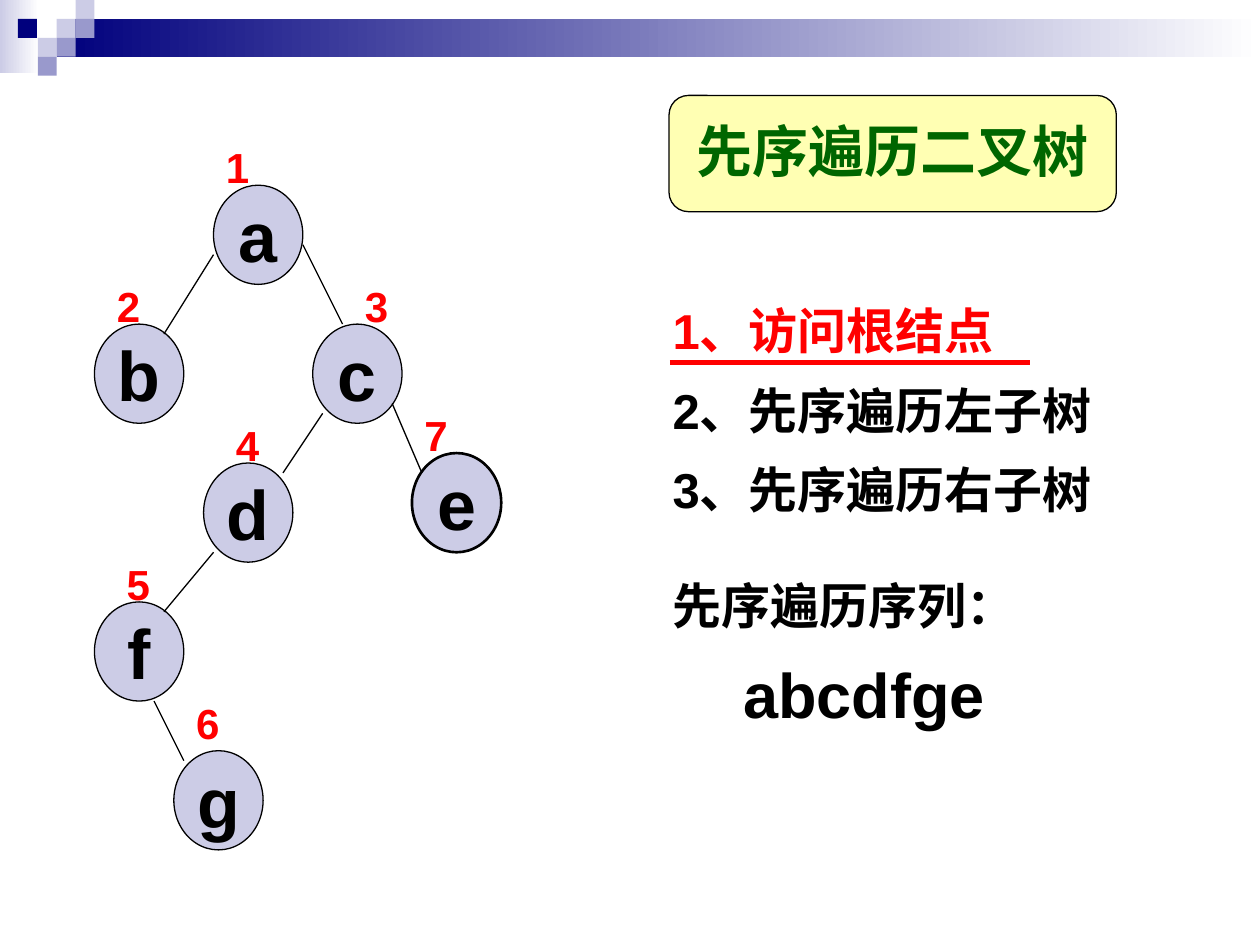
from pptx import Presentation
from pptx.dml.color import RGBColor as RGB
from pptx.enum.shapes import MSO_CONNECTOR as CONN, MSO_SHAPE as SHAPE
from pptx.enum.text import MSO_ANCHOR as ANCHOR, PP_ALIGN as ALIGN
from pptx.oxml.ns import qn
from pptx.util import Inches, Pt
from lxml.etree import SubElement

COLORS = {
    "navy": "00007D", "violet": "9999CC", "lilac": "CCCCE6", "white": "FFFFFF",
    "black": "000000", "red": "FF0000", "yellow": "FFFF99", "green": "006600",
}
LATIN, CJK = "Arial", "Noto Sans CJK SC"
W, H = Inches(10), Inches(7.5)
UNIT = W / 127
CELL = W * 0.015

SQUARES = [(3, 1, "lilac"), (4, 0, "lilac"), (4, 1, "violet"), (2, 2, "lilac"),
           (0.95, 1, "navy"), (3, 2, "violet"), (2, 3, "violet")]
NODE_W, NODE_H = 9, 10
NODES = [("a", 12, 0, 0.75), ("b", 0, 14, 0.75), ("c", 22, 14, 0.75),
         ("d", 11, 28, 0.75), ("f", 0, 42, 0.75), ("g", 8, 57, 0.75),
         ("e", 32, 27, 1.5)]
EDGES = [(12, 7, 7, 15), (21, 6, 25, 14), (30, 22, 33, 29),
         (6, 52, 9, 58), (23, 23, 19, 29), (12, 37, 7, 43)]
VISITS = [(12, -5), (1, 9), (26, 9), (13, 23), (2, 37), (9, 51), (32, 22)]
STEPS = [("1、访问根结点", "red", 28, 34, 0, 0),
         ("2、先序遍历左子树", "black", 28, 34, 11.5, 0),
         ("3、先序遍历右子树", "black", 28, 34, 11.5, 0),
         ("先序遍历序列：", "black", 28, 34, 32, 0),
         ("abcdfge", "black", 36, 41.5, 14, 0.56)]


def rgb(name):
    return RGB.from_string(COLORS[name])


def add_run(p, text, size, color, font=LATIN):
    r = p.add_run()
    r.text = text
    r.font.size, r.font.bold, r.font.name = Pt(size), True, font
    r.font.color.rgb = rgb(color)
    SubElement(r.font._element, qn("a:ea")).set("typeface", CJK)


def add_box(s, kind, x, y, w, h, fill, line=None):
    sp = s.shapes.add_shape(kind, round(x), round(y), round(w), round(h))
    sp.shadow.inherit = False
    if fill:
        sp.fill.solid()
        sp.fill.fore_color.rgb = rgb(fill)
    if line:
        sp.line.color.rgb, sp.line.width = rgb("black"), Pt(line)
    else:
        sp.line.fill.background()
    return sp


def add_gradient(s, x, y, w, h, start):
    sp = add_box(s, SHAPE.RECTANGLE, x, y, w, h, None)
    sp.fill.gradient()
    sp.fill.gradient_angle = 0
    for stop, color in zip(sp.fill.gradient_stops, (start, "white")):
        stop.color.rgb = rgb(color)


def add_line(s, x1, y1, x2, y2, color="black", width=0.75):
    ln = s.shapes.add_connector(CONN.STRAIGHT, *map(round, (x1, y1, x2, y2)))
    ln.line.color.rgb, ln.line.width = rgb(color), Pt(width)
    SubElement(ln._element.spPr, qn("a:effectLst"))


def center_text(sp, text, size, color, font=LATIN):
    tf = sp.text_frame
    tf.word_wrap, tf.vertical_anchor = False, ANCHOR.MIDDLE
    p = tf.paragraphs[0]
    p.alignment = ALIGN.CENTER
    add_run(p, text, size, color, font)
    return tf


def add_header(s, x, y, w):
    add_gradient(s, x, y, w * 0.031, w * 0.058, "lilac")
    add_gradient(s, x + 3 * CELL, y + CELL, w - 3 * CELL, 2 * CELL, "navy")
    for col, row, color in SQUARES:
        add_box(s, SHAPE.RECTANGLE, x + col * CELL, y + row * CELL, CELL, CELL, color)


def add_tree(s, x, y):
    for i, (col, row) in enumerate(VISITS, 1):
        tb = s.shapes.add_textbox(round(x + col * UNIT), round(y + row * UNIT),
                                  Inches(0.38), Inches(0.5))
        tb.text_frame.word_wrap = False
        add_run(tb.text_frame.paragraphs[0], str(i), 24, "red")
    for name, col, row, line in NODES:
        sp = add_box(s, SHAPE.OVAL, x + col * UNIT, y + row * UNIT,
                     NODE_W * UNIT, NODE_H * UNIT, "lilac", line)
        center_text(sp, name, 40, "black")
    for c1, r1, c2, r2 in EDGES:
        add_line(s, x + c1 * UNIT, y + r1 * UNIT, x + c2 * UNIT, y + r2 * UNIT)


def add_title(s, x, y, w, h):
    sp = add_box(s, SHAPE.ROUNDED_RECTANGLE, x, y, w, h, "yellow", 0.75)
    color = sp._element.spPr.find(qn("a:solidFill"))[0]
    SubElement(color, qn("a:alpha")).set("val", "74000")
    center_text(sp, "先序遍历二叉树", 32, "green", CJK).margin_top = 0


def add_steps(s, x, y, w, h):
    tf = s.shapes.add_textbox(round(x), round(y), round(w), round(h)).text_frame
    tf.word_wrap = True
    for i, (text, color, size, pitch, gap, indent) in enumerate(STEPS):
        p = tf.add_paragraph() if i else tf.paragraphs[0]
        p.line_spacing = Pt(pitch)
        if gap:
            p.space_before = Pt(gap)
        if indent:
            p._p.get_or_add_pPr().set("marL", str(Inches(indent)))
        add_run(p, text, size, color)
    rule_x, rule_y = x + w * 0.02, y + h * 0.13
    add_line(s, rule_x, rule_y, rule_x + w * 0.74, rule_y, "red", 3)


def main():
    prs = Presentation()
    prs.slide_width, prs.slide_height = W, H
    s = prs.slides.add_slide(prs.slide_layouts[6])
    add_header(s, 0, 0, W)
    add_tree(s, W * 0.075, H * 0.196)
    add_title(s, W * 0.531, H * 0.101, W * 0.355, H * 0.123)
    add_steps(s, W * 0.524, H * 0.311, W * 0.386, H * 0.556)
    prs.save("out.pptx")


if __name__ == "__main__":
    main()
